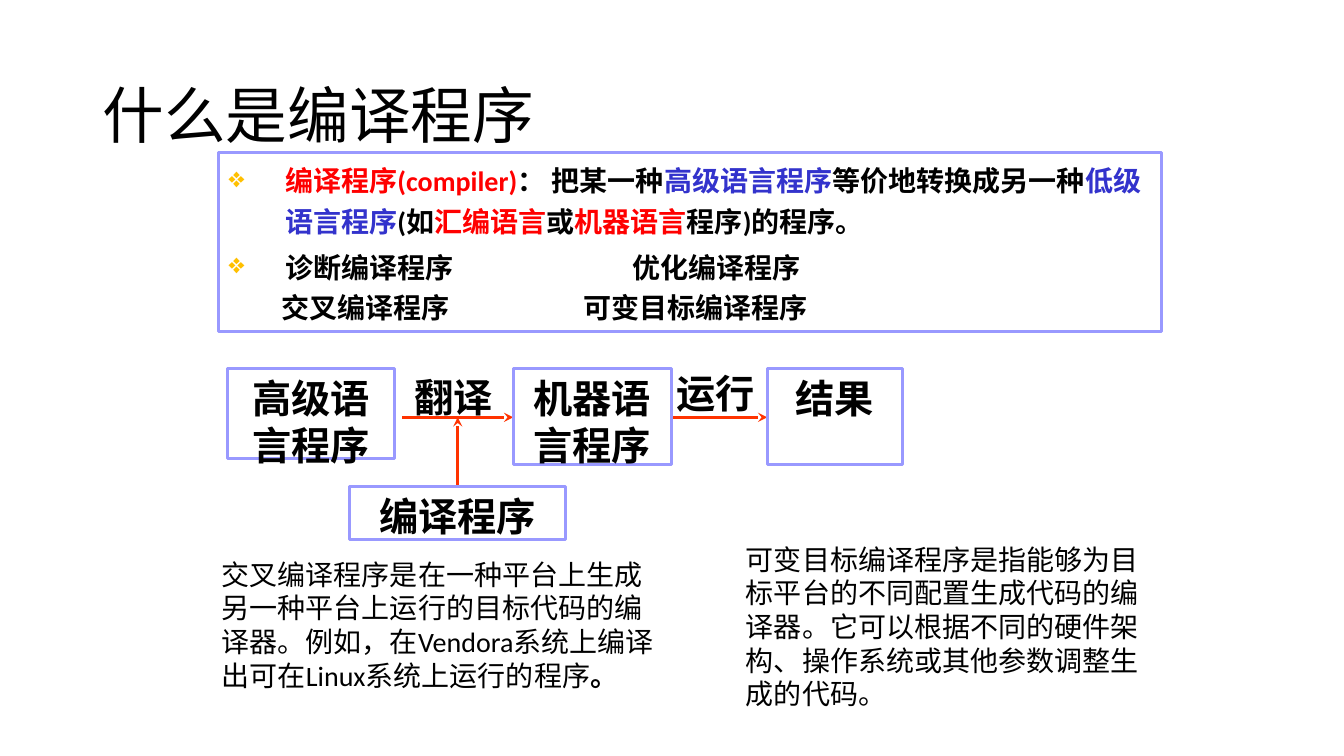
"""Build a slide that explains what a compiler is."""
from typing import NamedTuple

from lxml import etree
from pptx import Presentation
from pptx.dml.color import RGBColor
from pptx.enum.shapes import MSO_CONNECTOR, MSO_SHAPE
from pptx.enum.text import MSO_ANCHOR, PP_ALIGN
from pptx.oxml.ns import qn
from pptx.util import Inches, Pt

STRAIGHT = MSO_CONNECTOR.STRAIGHT
RECTANGLE = MSO_SHAPE.RECTANGLE
TOP, MIDDLE = MSO_ANCHOR.TOP, MSO_ANCHOR.MIDDLE
LEFT, CENTER = PP_ALIGN.LEFT, PP_ALIGN.CENTER

BLACK = RGBColor(0x00, 0x00, 0x00)
WHITE = RGBColor(0xFF, 0xFF, 0xFF)
RED = RGBColor(0xFF, 0x00, 0x00)
BLUE = RGBColor(0x33, 0x33, 0xCC)
GOLD = RGBColor(0xFF, 0xC0, 0x00)
LAVENDER = RGBColor(0x99, 0x99, 0xFF)
ORANGE = RGBColor(0xFF, 0x33, 0x00)
LINE_WIDTH = Pt(2.25)


class Area(NamedTuple):
    left: float
    top: float
    width: float
    height: float


class Span(NamedTuple):
    text: str
    color: RGBColor = BLACK
    bold: bool | None = None


class Style(NamedTuple):
    font: str
    size: float
    bold: bool = False
    align: PP_ALIGN = LEFT
    anchor: MSO_ANCHOR = TOP
    wrap: bool = True


class Label(NamedTuple):
    area: Area
    spans: list[Span]
    style: Style


class Arrow(NamedTuple):
    start: tuple[float, float]
    end: tuple[float, float]


class Item(NamedTuple):
    spans: list[Span]
    indent: float
    bullet: str = ""
    level: int = 0
    space_before: float = 0


TITLE = Style("Calibri", 44, anchor=MIDDLE)
BODY = Style("Calibri", 20)
DEFINITION = Style("Calibri", 20, bold=True)
STEP = Style("Arial", 28, bold=True, align=CENTER)
ACTION = Style("Arial", 28, bold=True, align=CENTER, anchor=MIDDLE, wrap=False)

ARROWS = [
    Arrow((3.99, 4.14), (5.09, 4.14)),
    Arrow((6.66, 4.14), (7.61, 4.14)),
    Arrow((4.54, 4.83), (4.54, 4.14)),
]
STEPS = [
    Label(Area(2.26, 3.66, 1.65, 0.89), [Span("高级语言程序")], STEP),
    Label(Area(5.09, 3.66, 1.57, 0.95), [Span("机器语言程序")], STEP),
    Label(Area(7.61, 3.66, 1.34, 0.95), [Span("结果")], STEP),
    Label(Area(3.47, 4.83, 2.14, 0.52), [Span("编译程序")], STEP),
]
TEXTS = [
    Label(Area(0.92, 0.4, 11.5, 1.45), [Span("什么是编译程序")], TITLE),
    Label(Area(3.91, 3.66, 1.18, 0.55), [Span("翻译")], ACTION),
    Label(Area(6.51, 3.59, 1.18, 0.62), [Span("运行")], ACTION),
    Label(Area(2.1, 5.48, 4.52, 1.45), [
        Span("交叉编译程序是在一种平台上生成另一种平台上运行的目标代码的编译器。"
             "例如，在Vendora系统上编译出可在Linux系统上运行的程序"),
        Span("。", bold=True),
    ], BODY),
    Label(Area(7.3, 5.33, 4.22, 1.78), [
        Span("可变目标编译程序是指能够为目标平台的不同配置生成代码的编译器。"
             "它可以根据不同的硬件架构、操作系统或其他参数调整生成的代码。"),
    ], BODY),
]
DEFINITION_AREA = Area(2.17, 1.51, 9.35, 1.78)
ITEMS = [
    Item([
        Span("编译程序(compiler)", RED), Span("： 把某一种"),
        Span("高级语言程序", BLUE), Span("等价地转换成另一种"),
        Span("低级语言程序", BLUE), Span("(如"), Span("汇编语言", RED),
        Span("或"), Span("机器语言", RED), Span("程序)的程序。"),
    ], 0.56, "❖"),
    Item([Span("诊断编译程序\t\t优化编译程序")], 0.56, "❖", space_before=4),
    Item([Span("交叉编译程序\t\t可变目标编译程序")], 0.52, level=1),
]


def write(para, spans: list[Span], style: Style) -> None:
    """Fill a paragraph with styled spans."""
    para.alignment = style.align
    para.font.name = style.font
    para.font.size = Pt(style.size)
    para.font.bold = style.bold
    for span in spans:
        run = para.add_run()
        run.text = span.text
        run.font.color.rgb = span.color
        if span.bold is not None:
            run.font.bold = span.bold


def prepare(box, style: Style):
    """Set wrapping and anchor, and return the text frame."""
    frame = box.text_frame
    frame.word_wrap = style.wrap
    frame.vertical_anchor = style.anchor
    return frame


def add_text(page, label: Label) -> None:
    """Add a plain text box."""
    box = page.shapes.add_textbox(*map(Inches, label.area))
    write(prepare(box, label.style).paragraphs[0], label.spans, label.style)


def add_frame(page, area: Area):
    """Add a white rectangle with a lavender outline."""
    box = page.shapes.add_shape(RECTANGLE, *map(Inches, area))
    box.shadow.inherit = False
    box.fill.solid()
    box.fill.fore_color.rgb = WHITE
    box.line.color.rgb = LAVENDER
    box.line.width = LINE_WIDTH
    return box


def add_step(page, label: Label) -> None:
    """Add one framed step of the flow."""
    frame = prepare(add_frame(page, label.area), label.style)
    write(frame.paragraphs[0], label.spans, label.style)


def add_arrow(page, arrow: Arrow) -> None:
    """Add a line with a stealth head at its end."""
    line = page.shapes.add_connector(
        STRAIGHT, *map(Inches, arrow.start + arrow.end))
    line.line.color.rgb = ORANGE
    line.line.width = LINE_WIDTH
    etree.SubElement(line.line._get_or_add_ln(), qn("a:tailEnd"), type="stealth")
    etree.SubElement(line._element.spPr, qn("a:effectLst"))


def add_definition(page, area: Area, items: list[Item]) -> None:
    """Add the framed definition with its bulleted items."""
    frame = prepare(add_frame(page, area), DEFINITION)
    for index, item in enumerate(items):
        para = frame.add_paragraph() if index else frame.paragraphs[0]
        para.level = item.level
        para.line_spacing = 1.2
        para.space_before = Pt(item.space_before)
        properties = para._p.get_or_add_pPr()
        properties.set("marL", str(Inches(item.indent)))
        properties.set("indent", str(-Inches(item.indent) if item.bullet else 0))
        properties.set("defTabSz", str(Inches(1)))
        if item.bullet:
            color = etree.SubElement(properties, qn("a:buClr"))
            etree.SubElement(color, qn("a:srgbClr"), val=str(GOLD))
            etree.SubElement(properties, qn("a:buChar"), char=item.bullet)
        write(para, item.spans, DEFINITION)


def main() -> None:
    """Build and save the deck."""
    deck = Presentation()
    deck.slide_width, deck.slide_height = Inches(13.33), Inches(7.5)
    page = deck.slides.add_slide(deck.slide_layouts[6])
    for arrow in ARROWS:
        add_arrow(page, arrow)
    for step in STEPS:
        add_step(page, step)
    add_definition(page, DEFINITION_AREA, ITEMS)
    for label in TEXTS:
        add_text(page, label)
    deck.save("out.pptx")


if __name__ == "__main__":
    main()
